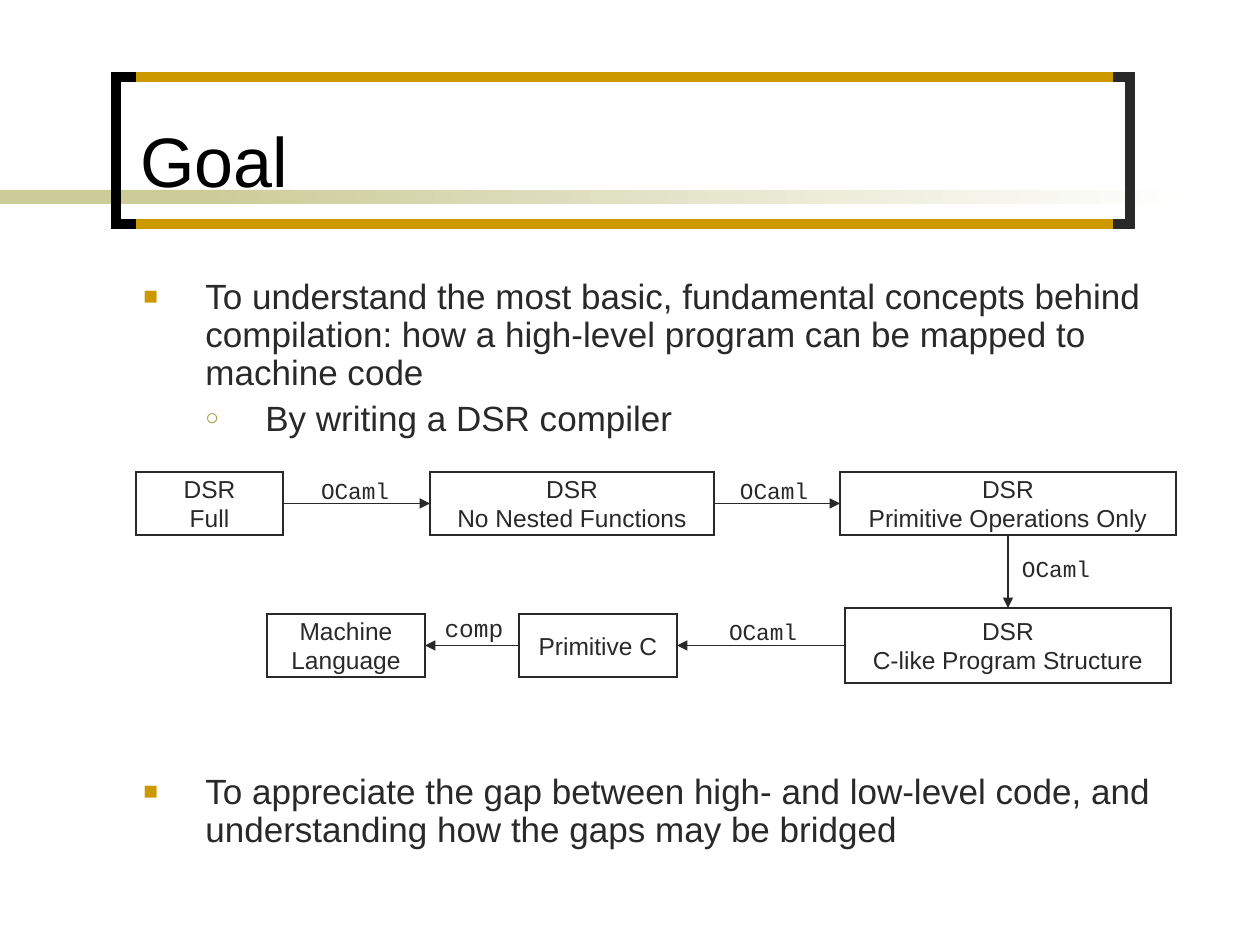
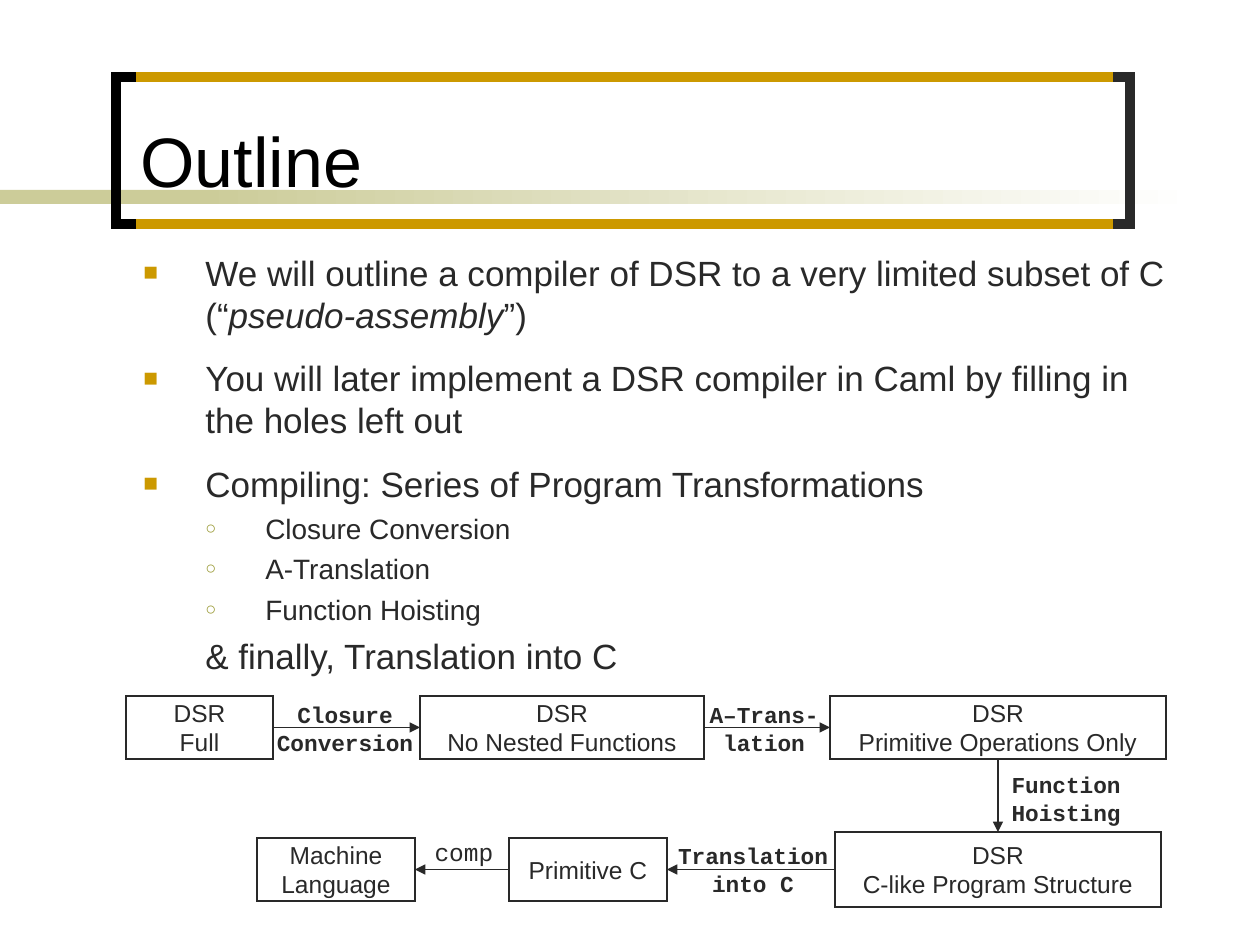
from dataclasses import dataclass

from lxml import etree
from pptx import Presentation
from pptx.dml.color import RGBColor
from pptx.enum.shapes import MSO_CONNECTOR, MSO_SHAPE
from pptx.enum.text import MSO_ANCHOR, MSO_AUTO_SIZE, PP_ALIGN
from pptx.oxml.ns import qn
from pptx.util import Emu, Pt

# Shared look
INK, BLACK, GOLD, OLIVE, SAND, WHITE = (
    "292929", "000000", "CC9900", "999933", "CCCC99", "FFFFFF")
SANS, MONO = "Arial", "Courier New"
THICK, THIN = 6, 0.74
PIXELS_PER_INCH = 126
TOP, LEFT, BOTTOM, RIGHT = range(4)  # connection sites of a rectangle


@dataclass
class Point:
    """A body paragraph; every second span is italic."""
    spans: tuple[str, ...]
    level: int = 0
    size: float = 20
    before: float = 5
    bullet: bool = True


@dataclass
class Stage:
    lines: tuple[str, ...]
    left: int
    top: int
    width: int
    height: int = 63


@dataclass
class Label:
    lines: tuple[str, ...]
    center: int
    top: int
    size: float = 13
    bold: bool = False


@dataclass
class Content:
    title: str
    body_top: int
    body_height: int
    spacing: float
    points: list[Point]
    origin: tuple[int, int]
    labels: list[Label]


# Compiler pipeline, relative to its top left corner
STAGES = [
    Stage(("DSR", "Full"), 0, 0, 147),
    Stage(("DSR", "No Nested Functions"), 294, 0, 284),
    Stage(("DSR", "Primitive Operations Only"), 704, 0, 336),
    Stage(("DSR", "C-like Program Structure"), 709, 136, 326, 75),
    Stage(("Primitive C",), 383, 142, 158),
    Stage(("Machine", "Language"), 131, 142, 158),
]
# Sites at which each stage is left and the next one entered
LINKS = [(RIGHT, LEFT), (RIGHT, LEFT), (BOTTOM, TOP), (LEFT, RIGHT), (LEFT, RIGHT)]
LAST_STEP = Label(("comp",), 338, 135, size=14)

CONTENTS = [
    Content(
        "Goal", 273, 609, 0.9,
        [
            Point(("To understand the most basic, fundamental concepts behind "
                   "compilation: how a high-level program can be mapped to "
                   "machine code",)),
            Point(("By writing a DSR compiler",), level=1),
            Point(("To appreciate the gap between high- and low-level code, and "
                   "understanding how the gaps may be bridged",), before=191.5),
        ],
        (136, 472),
        [Label(("OCaml",), center, top)
         for center, top in ((219, -1), (638, -1), (920, 77), (627, 140))]
        + [LAST_STEP],
    ),
    Content(
        "Outline", 245, 620, 1.0,
        [
            Point(("We will outline a compiler of DSR to a very limited subset "
                   "of C (“", "pseudo-assembly", "”)")),
            Point(("You will later implement a DSR compiler in Caml by filling "
                   "in the holes left out",), before=12.3),
            Point(("Compiling: Series of Program Transformations",), before=12.3),
            *(Point((name,), level=1, size=16, before=4) for name in
              ("Closure Conversion", "A-Translation", "Function Hoisting")),
            Point(("& finally, Translation into C",), level=1, bullet=False),
        ],
        (126, 696),
        [
            Label(("Closure", "Conversion"), 219, -1, bold=True),
            Label(("A–Trans-", "lation"), 638, -1, bold=True),
            Label(("Function", "Hoisting"), 940, 69, bold=True),
            Label(("Translation", "into C"), 627, 140, bold=True),
            LAST_STEP,
        ],
    ),
]


def px(length: float) -> Emu:
    return Emu(round(length * 914400 / PIXELS_PER_INCH))


def color(value: str) -> RGBColor:
    return RGBColor.from_string(value)


def set_line(shape, value: str, width: float) -> None:
    """Solid line with square corners."""
    shape.line.color.rgb = color(value)
    shape.line.width = Pt(width)
    etree.SubElement(shape.line._get_or_add_ln(), qn("a:miter"), lim="800000")


def add_span(para, text: str, *, size: float, font: str = SANS, ink: str = INK,
             bold: bool = False, italic: bool = False) -> None:
    span = para.add_run()
    span.text = text
    span.font.name, span.font.size = font, Pt(size)
    span.font.bold, span.font.italic = bold, italic
    span.font.color.rgb = color(ink)


def add_lines(frame, lines: tuple[str, ...], **text_format) -> None:
    """Centred, unwrapped lines, one paragraph each."""
    frame.word_wrap = False
    for index, line in enumerate(lines):
        para = frame.add_paragraph() if index else frame.paragraphs[0]
        para.alignment = PP_ALIGN.CENTER
        add_span(para, line, **text_format)


def add_box(page, left: float, top: float, width: float, height: float):
    return page.shapes.add_textbox(px(left), px(top), px(width), px(height))


def add_rectangle(page, left: float, top: float, width: float, height: float):
    shape = page.shapes.add_shape(
        MSO_SHAPE.RECTANGLE, px(left), px(top), px(width), px(height))
    shape.shadow.inherit = False
    return shape


def add_line(page, start: tuple[int, int], end: tuple[int, int],
             value: str, width: float):
    line = page.shapes.add_connector(
        MSO_CONNECTOR.STRAIGHT, *map(px, start), *map(px, end))
    set_line(line, value, width)
    etree.SubElement(line._element.spPr, qn("a:effectLst"))
    return line


def add_bracket(page, tip: int, back: int, value: str) -> None:
    top, bottom = 77, 224
    builder = page.shapes.build_freeform(px(tip), px(top))
    builder.add_line_segments(
        [(px(back), px(top)), (px(back), px(bottom)), (px(tip), px(bottom))],
        close=False)
    bracket = builder.convert_to_shape()
    bracket.shadow.inherit = False
    bracket.fill.background()
    set_line(bracket, value, THICK)


def add_frame(page) -> None:
    """Fading band, brackets and gold bars around the title."""
    band = add_rectangle(page, 0, 190, 294, 14)
    band.fill.solid()
    band.fill.fore_color.rgb = color(SAND)
    band.line.fill.background()
    fade = add_rectangle(page, 199, 190, 998, 14)
    fade.fill.gradient()
    fade.fill.gradient_angle = 0
    for stop, value in zip(fade.fill.gradient_stops, (SAND, WHITE)):
        stop.color.rgb = color(value)
    fade.line.fill.background()
    add_bracket(page, 136, 116, BLACK)
    add_bracket(page, 1110, 1130, INK)
    for height in (77, 224):
        add_line(page, (136, height), (1113, height), GOLD, THICK)


def add_title(page, text: str) -> None:
    frame = add_box(page, 128, 13, 987, 195).text_frame
    frame.word_wrap = True
    frame.vertical_anchor = MSO_ANCHOR.BOTTOM
    add_span(frame.paragraphs[0], text, size=40, ink=BLACK)


def set_bullet(para, point: Point) -> None:
    """Hanging indent and the mark of the paragraph's level."""
    margin, hang, mark, value, percent = (
        (62, 62, "■", GOLD, 70), (122, 60, "○", OLIVE, 65))[point.level]
    properties = para._p.get_or_add_pPr()
    properties.set("marL", str(px(margin)))
    properties.set("indent", str(-px(hang)))
    if not point.bullet:
        etree.SubElement(properties, qn("a:buNone"))
        return
    tint = etree.SubElement(properties, qn("a:buClr"))
    etree.SubElement(tint, qn("a:srgbClr"), val=value)
    etree.SubElement(properties, qn("a:buSzPct"), val=str(percent * 1000))
    etree.SubElement(properties, qn("a:buFont"), typeface=SANS)
    etree.SubElement(properties, qn("a:buChar"), char=mark)


def add_body(page, content: Content) -> None:
    frame = add_box(page, 131, content.body_top, 1056, content.body_height).text_frame
    frame.word_wrap = True
    for index, point in enumerate(content.points):
        para = frame.add_paragraph() if index else frame.paragraphs[0]
        para.level = point.level
        para.line_spacing = content.spacing
        para.space_before = Pt(point.before)
        set_bullet(para, point)
        for order, text in enumerate(point.spans):
            add_span(para, text, size=point.size, italic=order % 2 == 1)


def add_stage(page, stage: Stage, origin: tuple[int, int]):
    shape = add_rectangle(page, origin[0] + stage.left, origin[1] + stage.top,
                          stage.width, stage.height)
    shape.fill.background()
    set_line(shape, INK, THIN)
    shape.text_frame.vertical_anchor = MSO_ANCHOR.MIDDLE
    add_lines(shape.text_frame, stage.lines, size=14)
    return shape


def add_arrow(page, source, target, sites: tuple[int, int]) -> None:
    arrow = add_line(page, (0, 0), (0, 0), INK, THIN)
    arrow.begin_connect(source, sites[0])
    arrow.end_connect(target, sites[1])
    etree.SubElement(arrow.line._get_or_add_ln(), qn("a:tailEnd"), type="triangle")


def add_label(page, label: Label, origin: tuple[int, int]) -> None:
    # A monospaced letter is 0.6 em wide; the insets add 25 by 13 pixels.
    em = label.size * PIXELS_PER_INCH / 72
    width = round(max(map(len, label.lines)) * 0.6 * em) + 25
    height = round(len(label.lines) * 1.2 * em) + 13
    box = add_box(page, origin[0] + label.center - width / 2,
                  origin[1] + label.top, width, height)
    box.text_frame.auto_size = MSO_AUTO_SIZE.SHAPE_TO_FIT_TEXT
    add_lines(box.text_frame, label.lines, size=label.size, font=MONO,
              bold=label.bold)


def add_pipeline(page, content: Content) -> None:
    shapes = [add_stage(page, stage, content.origin) for stage in STAGES]
    for source, target, sites in zip(shapes, shapes[1:], LINKS):
        add_arrow(page, source, target, sites)
    for label in content.labels:
        add_label(page, label, content.origin)


deck = Presentation()
deck.slide_width, deck.slide_height = px(1260), px(945)
for content in CONTENTS:
    page = deck.slides.add_slide(deck.slide_layouts[6])
    add_frame(page)
    add_title(page, content.title)
    add_body(page, content)
    add_pipeline(page, content)
deck.save("out.pptx")
